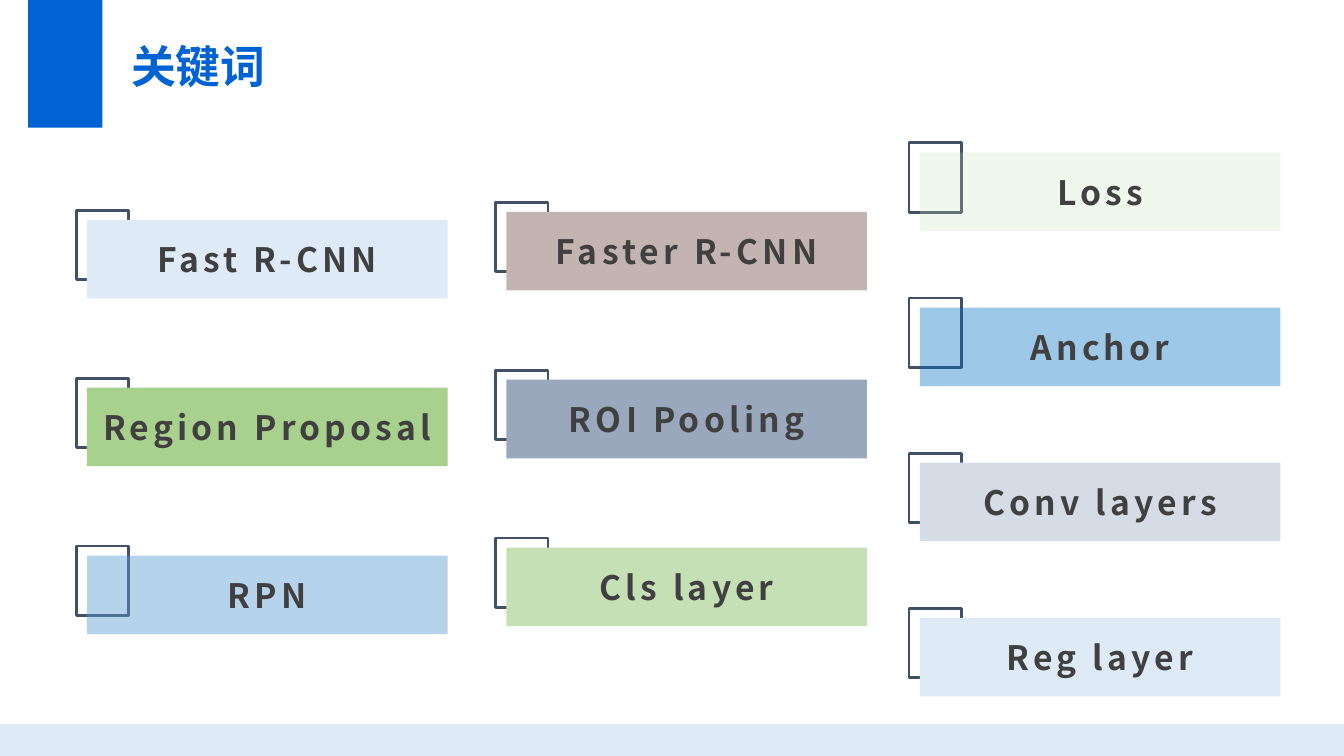
import pptx
import pptx.dml.color
import pptx.enum.shapes
import pptx.enum.text
import pptx.oxml.ns
import pptx.util
from lxml import etree

Cm, Pt = pptx.util.Cm, pptx.util.Pt
qn = pptx.oxml.ns.qn
RGB = pptx.dml.color.RGBColor.from_string
ALIGN = pptx.enum.text.PP_ALIGN
ANCHOR = pptx.enum.text.MSO_ANCHOR
RECT = pptx.enum.shapes.MSO_SHAPE.RECTANGLE

FONT = "Noto Sans CJK SC"
WIDTH, HEIGHT = 33.87, 19.05
COLORS = {
    "title": "0162D4", "pale_blue": "DEEBF7", "frame": "425066",
    "text": "404040", "green": "A9D18E", "sky": "5B9BD5",
    "taupe": "C4B4B1", "slate": "99A8BD", "light_green": "C5E0B4",
    "blue": "0070C0", "grey": "D6DCE5",
}
TITLE_FONT = {"name": FONT, "size": Pt(32), "bold": True}
LABEL_FONT = {"name": FONT, "size": Pt(24), "bold": True}

FRAME_SIZE = (1.32, 1.75)
LABEL_SIZE = (9.09, 1.98)
LABEL_OFFSET = (0.27, 0.24)

# left, top, vertical step, then (word, colour, opacity in percent)
COLUMNS = [
    (1.92, 5.3, 4.23, [("Fast R-CNN", "pale_blue", 100),
                       ("Region Proposal", "green", 100),
                       ("RPN", "sky", 44)]),
    (12.49, 5.1, 4.23, [("Faster R-CNN", "taupe", 100),
                        ("ROI Pooling", "slate", 100),
                        ("Cls layer", "light_green", 100)]),
    (22.91, 3.6, 3.91, [("Loss", "light_green", 25),
                        ("Anchor", "blue", 38),
                        ("Conv layers", "grey", 100),
                        ("Reg layer", "pale_blue", 100)]),
]


def add_rect(shapes, x, y, w, h, fill=None, opacity=100):
    sp = shapes.add_shape(RECT, Cm(x), Cm(y), Cm(w), Cm(h))
    sp.shadow.inherit = False
    if fill is None:
        sp.fill.background()
        sp.line.color.rgb = RGB(COLORS["frame"])
        sp.line.width = Pt(2)
        return sp
    sp.fill.solid()
    sp.fill.fore_color.rgb = RGB(COLORS[fill])
    sp.line.fill.background()
    if opacity < 100:
        color = sp._element.spPr.find(qn("a:solidFill"))[0]
        etree.SubElement(color, qn("a:alpha"), val=str(opacity * 1000))
    return sp


def write(p, text, font, color):
    r = p.add_run()
    r.text = text
    for name, value in font.items():
        setattr(r.font, name, value)
    r.font.color.rgb = RGB(COLORS[color])
    rPr = r._r.get_or_add_rPr()
    etree.SubElement(rPr, qn("a:ea"), typeface=FONT)
    return rPr


def add_title(s, x, y, w, h):
    title = s.shapes.title
    title.left, title.top, title.width, title.height = map(Cm, (x, y, w, h))
    tf = title.text_frame
    tf.word_wrap = False
    tf.auto_size = pptx.enum.text.MSO_AUTO_SIZE.NONE
    tf.vertical_anchor = ANCHOR.TOP
    p = tf.paragraphs[0]
    p.alignment = ALIGN.LEFT
    write(p, "关键词", TITLE_FONT, "title")


def add_keyword(s, x, y, word, fill, opacity):
    """Group an outlined square with the label that overlaps it."""
    shapes = s.shapes.add_group_shape().shapes
    add_rect(shapes, x, y, *FRAME_SIZE)
    dx, dy = LABEL_OFFSET
    label = add_rect(shapes, x + dx, y + dy, *LABEL_SIZE, fill, opacity)
    tf = label.text_frame
    tf.word_wrap = True
    tf.vertical_anchor = ANCHOR.MIDDLE
    p = tf.paragraphs[0]
    p.alignment = ALIGN.CENTER
    write(p, word, LABEL_FONT, "text").set("spc", "300")


def add_column(s, x, y, step, keywords):
    for i, keyword in enumerate(keywords):
        add_keyword(s, x, y + i * step, *keyword)


def main():
    prs = pptx.Presentation()
    prs.slide_width, prs.slide_height = Cm(WIDTH), Cm(HEIGHT)
    s = prs.slides.add_slide(prs.slide_layouts[5])
    add_rect(s.shapes, 0.71, 0, 1.87, 3.22, "title")
    add_rect(s.shapes, 0, 18.25, WIDTH, 0.8, "pale_blue")
    add_title(s, 3.05, 0.84, 4.2, 1.63)
    for column in COLUMNS:
        add_column(s, *column)
    prs.save("out.pptx")


if __name__ == "__main__":
    main()
